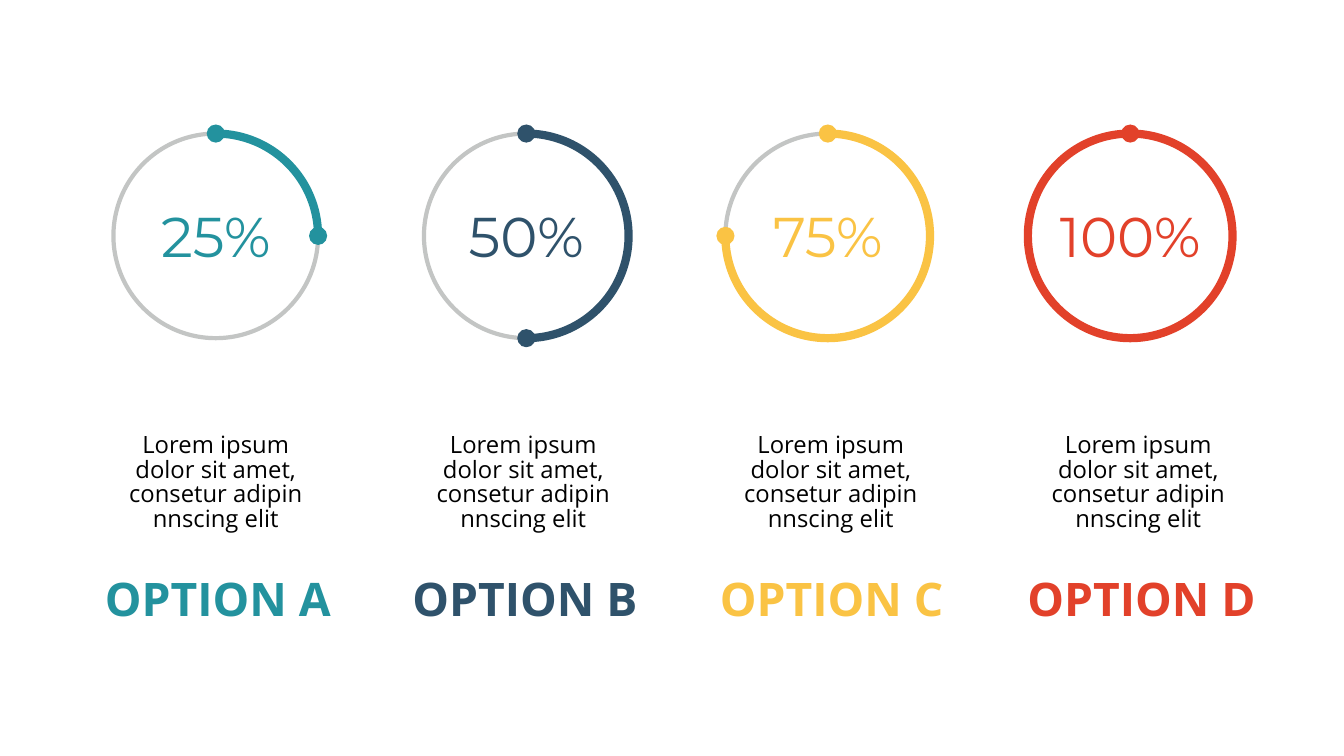
import pptx
import pptx.util
import pptx.dml.color
import pptx.enum.shapes
import pptx.enum.text

WIDE, HIGH = 13.33, 7.5
LEFT, STEP = 2.14, 3.05  # first column centre, column pitch
RING, DOT = 2.03, 0.18
MID = HIGH * 0.312  # centre line of the dials
GREY, WHITE, BLACK = "C3C5C4", "FFFFFF", "000000"
BODY = "Lorem ipsum dolor sit amet, consetur adipin nnscing elit"

# Letter, percent, colour, dial centre
OPTIONS = [
    ("A", 25, "23929E", 2.14),
    ("B", 50, "2F526B", 5.22),
    ("C", 75, "FAC344", 8.21),
    ("D", 100, "E2412A", 11.21),
]
KIND = pptx.enum.shapes.MSO_SHAPE
ALIGN = pptx.enum.text.PP_ALIGN


def tint(color):
    return pptx.dml.color.RGBColor.from_string(color)


def box(*sides):
    return [pptx.util.Inches(side) for side in sides]


def add_round(shapes, kind, x, y, size, fill=None, line=None, weight=0):
    """Add a round shape centred on x, y."""
    shape = shapes.add_shape(kind, *box(x - size / 2, y - size / 2, size, size))
    shape.shadow.inherit = False
    if fill:
        shape.fill.solid()
        shape.fill.fore_color.rgb = tint(fill)
    else:
        shape.fill.background()
    if line:
        shape.line.color.rgb = tint(line)
        shape.line.width = pptx.util.Pt(weight)
    else:
        shape.line.fill.background()
    return shape


def add_dial(slide, x, share, color):
    shapes = slide.shapes.add_group_shape().shapes
    full = share == 100
    edge, weight = (color, 5.87) if full else (GREY, 3)
    add_round(shapes, KIND.OVAL, x, MID, RING, WHITE, edge, weight)
    spots = [(0, -1)]
    if not full:
        arc = add_round(shapes, KIND.ARC, x, MID, RING, None, color, 5.87)
        # Arc angles run clockwise from three o'clock, 0.6 units per degree
        arc.adjustments[0] = 270 * 0.6
        arc.adjustments[1] = (share * 3.6 - 90) * 0.6
        spots.append({25: (1, 0), 50: (0, 1), 75: (-1, 0)}[share])
    # Dots at the start and end of the arc
    for across, down in spots:
        add_round(shapes, KIND.OVAL, x + across * RING / 2,
                  MID + down * RING / 2, DOT, color)


def add_text(slide, text, place, face, color, align, pad=(0, 0), space=None):
    frame = slide.shapes.add_textbox(*box(*place)).text_frame
    side, top = box(*pad)
    form = {"word_wrap": True, "margin_left": side, "margin_right": side,
            "margin_top": top, "margin_bottom": top}
    for name, value in form.items():
        setattr(frame, name, value)
    para = frame.paragraphs[0]
    para.alignment = align
    para.line_spacing = space
    run = para.add_run()
    run.text = text
    for name, value in face.items():
        setattr(run.font, name, value)
    run.font.color.rgb = tint(color)


def main():
    deck = pptx.Presentation()
    deck.slide_width, deck.slide_height = box(WIDE, HIGH)
    slide = deck.slides.add_slide(deck.slide_layouts[6])

    point = pptx.util.Pt
    small = {"name": "Open Sans", "size": point(17)}
    large = {"name": "Montserrat", "size": point(40)}
    heavy = {"name": "Open Sans", "size": point(33), "bold": True}

    for index, (letter, share, color, x) in enumerate(OPTIONS):
        col = LEFT + index * STEP
        # Dial with its percentage
        add_dial(slide, x, share, color)
        add_text(slide, f"{share}%", (x - 0.87, 2, 1.74, 0.82),
                 large, color, ALIGN.CENTER)
        # Description and option name
        add_text(slide, BODY, (col - 1.02, 4.25, 2.04, 1.24),
                 small, BLACK, ALIGN.CENTER, (0.1, 0.05), 0.87)
        add_text(slide, f"OPTION {letter}", (col - 1.1, 5.66, 2.45, 0.75),
                 heavy, color, ALIGN.LEFT)

    deck.save("out.pptx")


if __name__ == "__main__":
    main()
